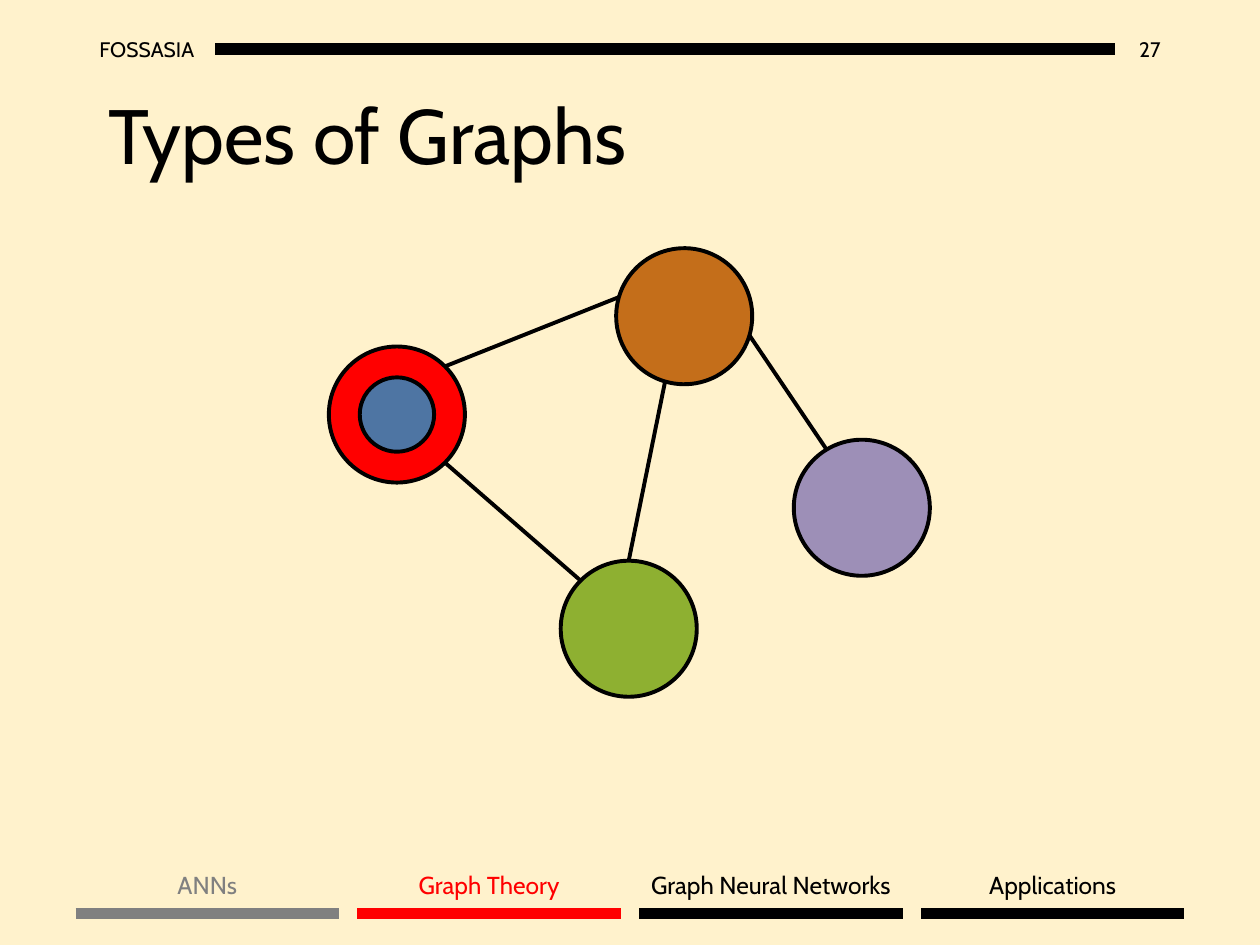
"""Build a slide showing a coloured graph with a section tracker below it."""
from dataclasses import dataclass
from math import cos, radians, sin

from lxml.etree import SubElement
from pptx import Presentation
from pptx.dml.color import RGBColor as RGB
from pptx.enum.shapes import MSO_CONNECTOR as CONN, MSO_SHAPE as SHAPE
from pptx.enum.text import MSO_ANCHOR as ANCHOR, PP_ALIGN as ALIGN
from pptx.oxml.ns import qn
from pptx.util import Inches, Pt


@dataclass(frozen=True)
class Theme:
    font: str = "Cabin"
    paper: str = "FFF2CC"
    ink: str = "000000"
    done: str = "808080"
    active: str = "FF0000"
    orange: str = "C46E1A"
    purple: str = "9D8FB7"
    green: str = "8EB031"
    blue: str = "4E75A3"
    title: int = 44
    label: int = 14
    header: int = 12
    edge: float = 2.25
    header_bar: float = 7
    tab_bar: float = 6


@dataclass(frozen=True)
class Node:
    x: float
    y: float
    size: float
    color: str
    turn: float = 0

    def rim(self, angle):
        a = radians(angle + self.turn)
        return self.x + self.size / 2 * cos(a), self.y + self.size / 2 * sin(a)


class SlideBuilder:
    def __init__(self, slide, theme):
        self.s = slide
        self.theme = theme
        fill = slide.background.fill
        fill.solid()
        fill.fore_color.rgb = RGB.from_string(theme.paper)

    def text(self, box, words, size, color, align=ALIGN.LEFT,
             anchor=ANCHOR.MIDDLE, wrap=True, spacing=None):
        tf = self.s.shapes.add_textbox(*map(Inches, box)).text_frame
        tf.word_wrap = wrap
        tf.vertical_anchor = anchor
        p = tf.paragraphs[0]
        p.alignment = align
        p.line_spacing = spacing
        r = p.add_run()
        r.text = words
        r.font.name = self.theme.font
        r.font.size = Pt(size)
        r.font.color.rgb = RGB.from_string(color)

    def line(self, start, end, color, width):
        sp = self.s.shapes.add_connector(
            CONN.STRAIGHT, *map(Inches, (*start, *end)))
        sp.line.color.rgb = RGB.from_string(color)
        sp.line.width = Pt(width)
        SubElement(sp._element.spPr, qn("a:effectLst"))

    def node(self, node):
        box = (node.x - node.size / 2, node.y - node.size / 2,
               node.size, node.size)
        sp = self.s.shapes.add_shape(SHAPE.OVAL, *map(Inches, box))
        sp.rotation = node.turn
        sp.shadow.inherit = False
        sp.fill.solid()
        sp.fill.fore_color.rgb = RGB.from_string(node.color)
        sp.line.color.rgb = RGB.from_string(self.theme.ink)
        sp.line.width = Pt(self.theme.edge)

    def tab(self, left, width, words, color):
        bar_y, box_w = 7.25, 2.24
        box = (left + (width - box_w) / 2, 6.86, box_w, 0.34)
        self.text(box, words, self.theme.label, color, ALIGN.CENTER,
                  ANCHOR.TOP, wrap=False)
        self.line((left, bar_y), (left + width, bar_y), color,
                  self.theme.tab_bar)


def main():
    prs = Presentation()
    prs.slide_width, prs.slide_height = Inches(10), Inches(7.5)
    t = Theme()
    b = SlideBuilder(prs.slides.add_slide(prs.slide_layouts[6]), t)

    b.text((0.69, 0.19, 1.02, 0.4), "FOSSASIA", t.header, t.ink)
    b.line((1.71, 0.39), (8.85, 0.39), t.ink, t.header_bar)
    b.text((8.85, 0.19, 0.46, 0.4), "27", t.header, t.ink, ALIGN.RIGHT)
    b.text((0.76, 0.38, 8.62, 1.45), "Types of Graphs", t.title, t.ink,
           spacing=0.9)

    red = Node(3.15, 3.29, 1.08, t.active)
    core = Node(3.15, 3.29, 0.59, t.blue)
    orange = Node(5.43, 2.51, 1.08, t.orange, 16.3)
    green = Node(4.99, 4.99, 1.08, t.green)
    purple = Node(6.84, 4.03, 1.08, t.purple, 58.8)
    for node in (red, core, orange, green, purple):
        b.node(node)
    edges = (
        (red.rim(-45), orange.rim(180)),
        (red.rim(45), green.rim(225)),
        (orange.rim(90), green.rim(270)),
        (orange.rim(0), purple.rim(180)),
    )
    for start, end in edges:
        b.line(start, end, t.ink, t.edge)

    sections = (
        ("ANNs", t.done),
        ("Graph Theory", t.active),
        ("Graph Neural Networks", t.ink),
        ("Applications", t.ink),
    )
    left, right, width = 0.6, 9.4, 2.09
    step = (right - left - width) / (len(sections) - 1)
    for i, (words, color) in enumerate(sections):
        b.tab(left + i * step, width, words, color)

    prs.save("out.pptx")


if __name__ == "__main__":
    main()
